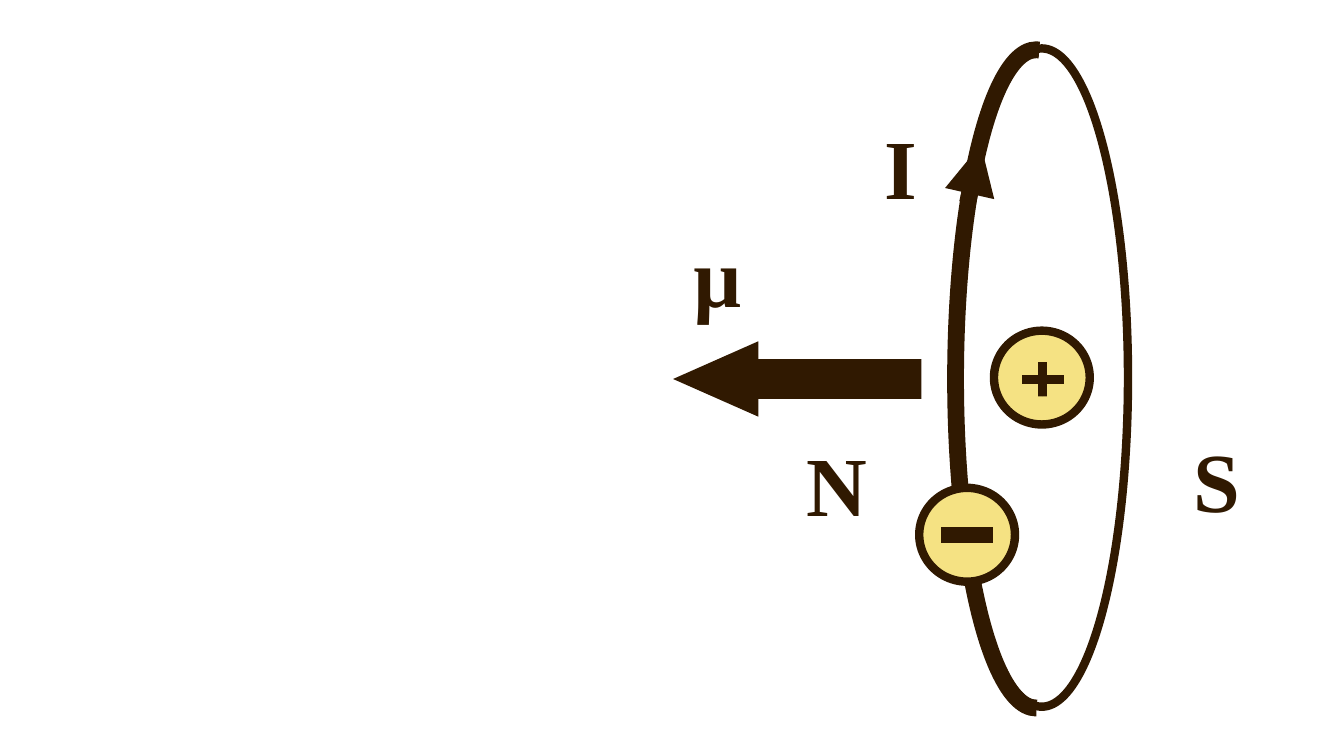
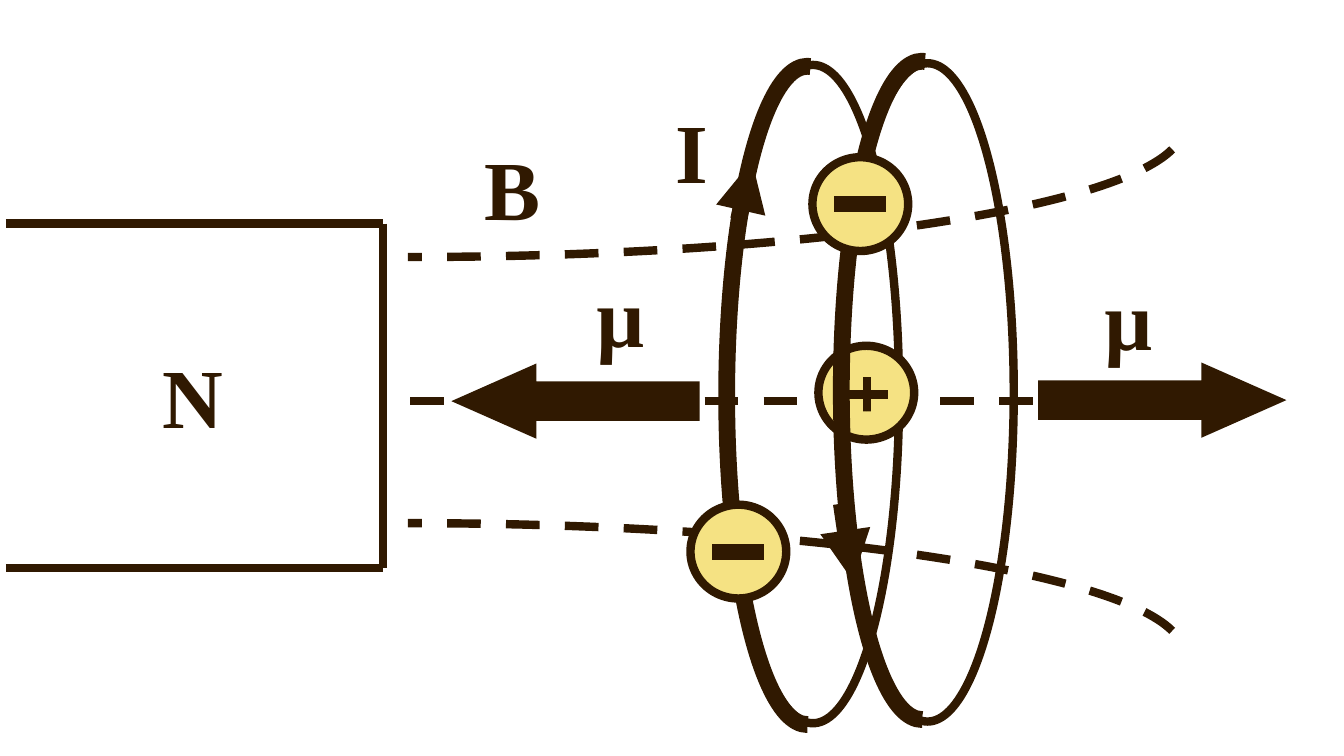
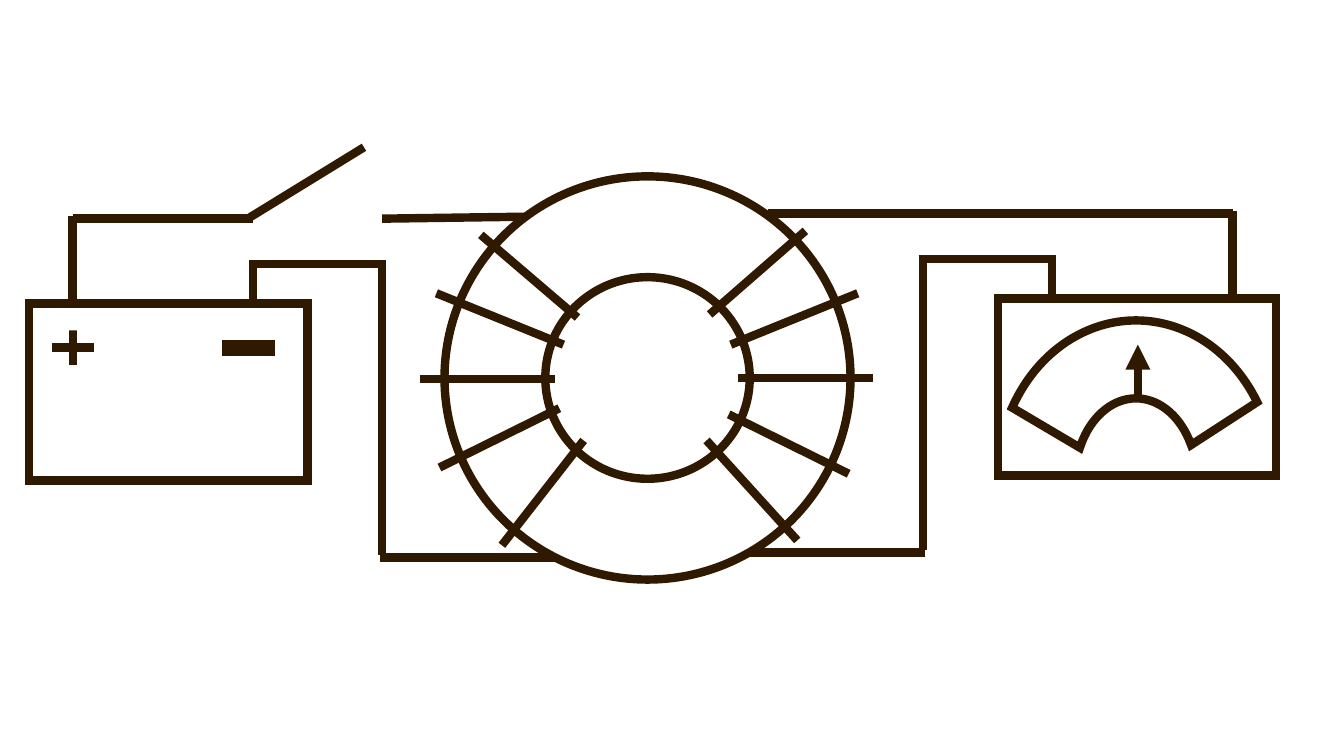
from pptx import Presentation
from pptx.dml.color import RGBColor
from pptx.enum.dml import MSO_LINE
from pptx.enum.shapes import MSO_CONNECTOR, MSO_SHAPE
from pptx.enum.text import MSO_AUTO_SIZE
from pptx.oxml.ns import qn
from pptx.util import Pt
from lxml import etree

INK = RGBColor(0x30, 0x19, 0x01)
CHARGE = RGBColor(0xF5, 0xE2, 0x83)
FONT = "Times New Roman"
THIN, THICK = 6, 12
LABEL_WIDTHS = {"I": 38.2, "µ": 49.7, "N": 58.3, "S": 48.2, "B": 54.7}

# Current arrows, relative to their loop's box
UPWARD = (8.5, 110.4, 18, 68.6)
DOWNWARD = (0, 314.6, 8, 369.4)

# Winding strokes, relative to the ring's box
WINDINGS = [
    (26, 41.8, 95, 100.8), (-5.8, 83.5, 85, 120.2),
    (-17.3, 144.7, 79.2, 144.7), (41, 263.5, 99.4, 188.6),
    (-3.6, 208, 82, 165.6), (257.8, 38.9, 189.4, 98.6),
    (295.2, 83.5, 204.5, 120.2), (306, 144, 209.5, 144),
    (252, 260, 187.2, 188.6), (288.7, 212.4, 203, 170),
]


def stroke(line, width, dashed=False, arrow=False):
    line.color.rgb = INK
    line.width = Pt(width)
    if dashed:
        line.dash_style = MSO_LINE.DASH
    ln = line._get_or_add_ln()
    etree.SubElement(ln, qn("a:miter"), lim="800000")
    if arrow:
        etree.SubElement(ln, qn("a:tailEnd"), type="triangle")


def add_shape(slide, kind, x, y, w, h, fill=None, width=THIN, adj=(), dashed=False):
    sp = slide.shapes.add_shape(kind, Pt(x), Pt(y), Pt(w), Pt(h))
    sp.shadow.inherit = False
    for i, value in enumerate(adj):
        sp.adjustments[i] = value
    if fill is None:
        sp.fill.background()
    else:
        sp.fill.solid()
        sp.fill.fore_color.rgb = fill
    stroke(sp.line, width, dashed)
    return sp


def add_line(slide, x1, y1, x2, y2, width=THIN, dashed=False, arrow=False):
    cxn = slide.shapes.add_connector(
        MSO_CONNECTOR.STRAIGHT, Pt(x1), Pt(y1), Pt(x2), Pt(y2))
    stroke(cxn.line, width, dashed, arrow)
    etree.SubElement(cxn._element.spPr, qn("a:effectLst"))


def add_label(slide, text, x, y):
    box = slide.shapes.add_textbox(Pt(x), Pt(y), Pt(LABEL_WIDTHS[text]), Pt(80))
    tf = box.text_frame
    tf.word_wrap = False
    tf.auto_size = MSO_AUTO_SIZE.SHAPE_TO_FIT_TEXT
    p = tf.paragraphs[0]
    p.text = text
    p.font.name = FONT
    p.font.size = Pt(60)
    p.font.bold = True
    p.font.color.rgb = INK


def add_plus(slide, x, y):
    add_shape(slide, MSO_SHAPE.CROSS, x, y, 24, 24.5, INK, adj=[0.5])


def add_minus(slide, x, y):
    add_shape(slide, MSO_SHAPE.MATH_MINUS, x, y, 42.5, 23, INK)


def add_particle(slide, x, y):
    add_shape(slide, MSO_SHAPE.OVAL, x, y, 68.4, 67, CHARGE)


def add_nucleus(slide, x, y):
    add_particle(slide, x, y)
    add_plus(slide, x + 22.7, y + 22.4)


def add_electron(slide, x, y):
    add_particle(slide, x, y)
    add_minus(slide, x + 13, y + 22)


def add_moment(slide, x, y, rotation=0):
    sp = add_shape(slide, MSO_SHAPE.RIGHT_ARROW, x, y, 167, 44.6, INK, adj=[0.5, 1.13])
    sp.rotation = rotation


def add_loop(slide, x, y, current, arc_shift=1):
    """Current loop whose near half is thick, with an arrow along it."""
    add_shape(slide, MSO_SHAPE.ARC, x, y + arc_shift, 115.2, 470.2,
              width=THICK, adj=[53.984, 162.317])
    add_shape(slide, MSO_SHAPE.OVAL, x, y, 123.1, 470.2)
    x1, y1, x2, y2 = current
    add_line(slide, x + x1, y + y1, x + x2, y + y2, THICK, arrow=True)


def add_field_line(slide, y, flipped=False):
    sp = add_shape(slide, MSO_SHAPE.ARC, -259.2, y, 1103.8, 183.6,
                   adj=[0.94, 54.467], dashed=True)
    if flipped:
        sp._element.spPr.get_or_add_xfrm().set("flipV", "1")


def add_magnet(slide, x, y, w, h):
    add_line(slide, x, y, x + w, y)
    add_line(slide, x + w, y, x + w, y + h)
    add_line(slide, x, y + h, x + w, y + h)
    add_label(slide, "N", x + 104.4, y + 82.8)


def add_ring(slide, x, y):
    add_shape(slide, MSO_SHAPE.DONUT, x, y, 290, 288, adj=[0.25])
    for x1, y1, x2, y2 in WINDINGS:
        add_line(slide, x + x1, y + y1, x + x2, y + y2)


def add_wired_case(slide, outer, y, side, reach):
    """Case and its leads; side is 1 if they run rightwards, -1 if leftwards."""
    w, h = 198.7, 126.7
    left = outer if side > 0 else outer - w
    add_shape(slide, MSO_SHAPE.RECTANGLE, left, y, w, h)
    wires = [
        (31, -62.6, 31, 0), (31, -60.5, reach, -60.5),
        (160, -31, 160, 0), (160, -28, 252, -28),
        (252, -31, 252, 180), (250.5, 181.5, 376, 181.5),
    ]
    for x1, y1, x2, y2 in wires:
        add_line(slide, outer + side * x1, y + y1, outer + side * x2, y + y2)
    return left


def add_battery(slide, x, y):
    left = add_wired_case(slide, x, y, 1, 160)
    add_plus(slide, left + 19.4, y + 19.4)
    add_minus(slide, left + 135.4, y + 20.2)


def add_switch(slide, x, y):
    add_line(slide, x, y, x + 83, y - 51)
    add_line(slide, x + 96, y, x + 199, y - 1.4)


def add_meter(slide, right, y):
    left = add_wired_case(slide, right, y, -1, 363)
    add_shape(slide, MSO_SHAPE.BLOCK_ARC, left - 0.7, y + 15.8, 198.7, 229,
              adj=[126.333, 196.213, 0.28])
    add_line(slide, left + 100, y + 70, left + 100, y + 33, arrow=True)


def build_atom(slide):
    add_loop(slide, 682.6, 34.6, UPWARD)
    add_nucleus(slide, 710, 236.2)
    add_electron(slide, 656.6, 348.5)
    add_moment(slide, 488.2, 248.4, 180)
    for text, x, y in [("I", 625, 79.2), ("µ", 488.2, 156.2),
                       ("N", 568.8, 305.3), ("S", 845.3, 302.4)]:
        add_label(slide, text, x, y)


def build_atom_in_field(slide):
    add_line(slide, 293, 286.6, 884.2, 286.6, dashed=True)
    add_field_line(slide, 0)
    add_field_line(slide, 373.7, flipped=True)
    add_magnet(slide, 4.3, 159.8, 269.3, 246)
    add_loop(slide, 519.1, 46.4, UPWARD)
    add_nucleus(slide, 584.6, 247)
    add_loop(slide, 601, 45.2, DOWNWARD, arc_shift=-1.4)
    add_electron(slide, 580.3, 112.3)
    add_electron(slide, 493.2, 360.5)
    add_moment(slide, 329.8, 264.2, 180)
    add_moment(slide, 744.5, 263.5)
    for text, x, y in [("µ", 419, 185), ("I", 475.2, 67.7),
                       ("µ", 782, 186.5), ("B", 339, 94.3)]:
        add_label(slide, text, x, y)


def build_induction(slide):
    add_ring(slide, 317.5, 126)
    add_battery(slide, 20.9, 216.7)
    add_switch(slide, 177, 156.2)
    add_meter(slide, 911.5, 213.1)


def main():
    prs = Presentation()
    prs.slide_width, prs.slide_height = Pt(960), Pt(540)
    for build in (build_atom, build_atom_in_field, build_induction):
        build(prs.slides.add_slide(prs.slide_layouts[6]))
    prs.save("out.pptx")


if __name__ == "__main__":
    main()
